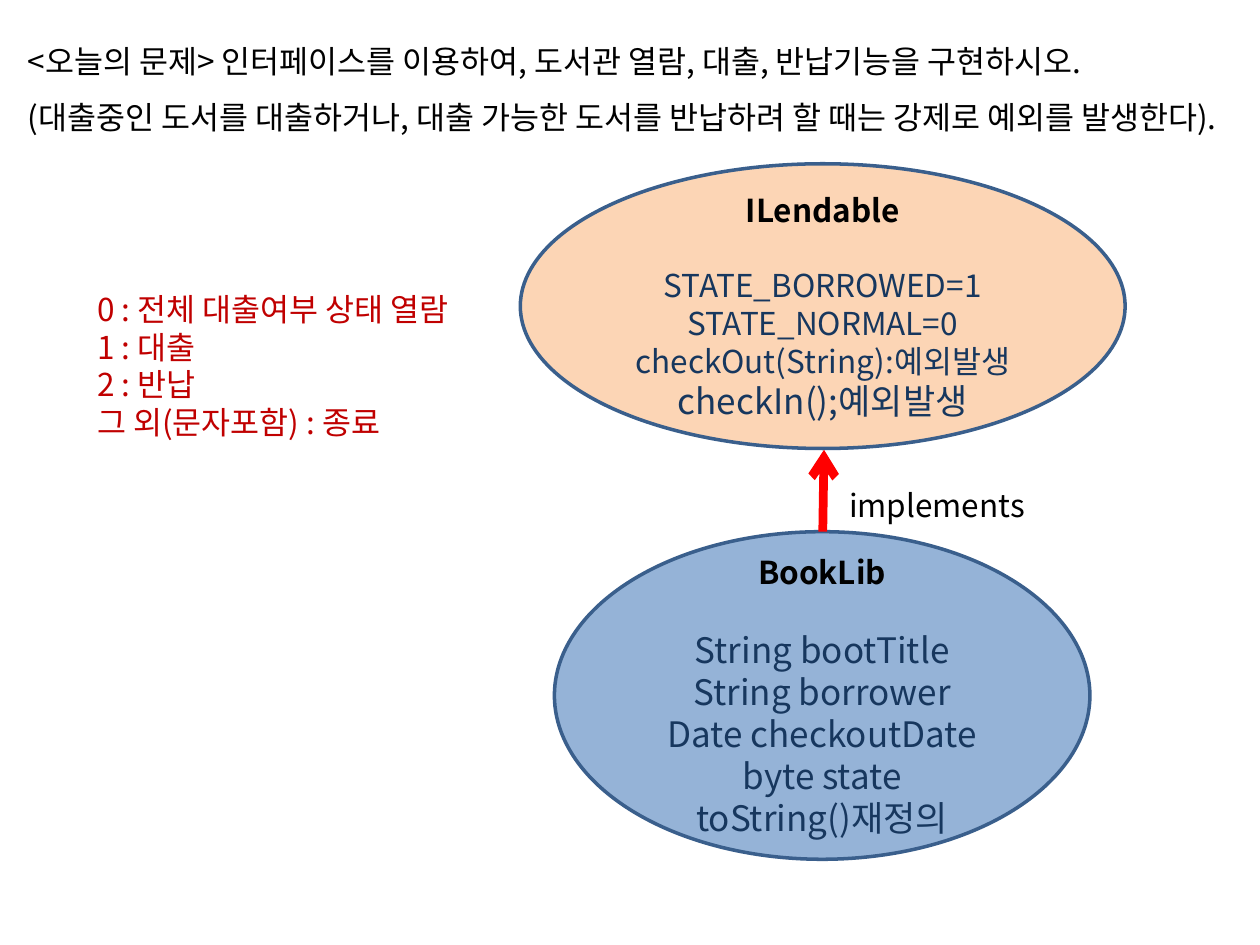
from lxml.etree import SubElement
from pptx import Presentation
from pptx.dml.color import RGBColor
from pptx.enum.shapes import MSO_CONNECTOR, MSO_SHAPE
from pptx.enum.text import MSO_ANCHOR, MSO_AUTO_SIZE, PP_ALIGN
from pptx.oxml.ns import qn
from pptx.util import Inches, Pt

COLORS = {
    "black": "000000", "menu": "C00000", "member": "17375E", "outline": "3A5F8C",
    "interface": "FCD5B5", "class": "95B3D7", "arrow": "FF0000",
}
FONT = "Noto Sans CJK KR"
LINE_RATIO = 1.2


class SlideBuilder:
    """Draws styled elements on the current slide."""

    def __init__(self, slide):
        self.slide = slide

    def color(self, name):
        return RGBColor.from_string(COLORS[name])

    def place(self, shape, box):
        for name, value in zip(("left", "top", "width", "height"), box):
            setattr(shape, name, Inches(value))

    def set_text(self, shape, lines, anchor=MSO_ANCHOR.TOP, align=PP_ALIGN.LEFT,
                 spacing=1, wrap=True):
        frame = shape.text_frame
        frame_format = {"word_wrap": wrap, "vertical_anchor": anchor,
                        "auto_size": MSO_AUTO_SIZE.NONE}
        for name, value in frame_format.items():
            setattr(frame, name, value)
        for index, (text, size, color, bold, gap) in enumerate(lines):
            paragraph = frame.paragraphs[0] if index == 0 else frame.add_paragraph()
            paragraph_format = {"alignment": align, "space_before": Pt(gap),
                                "line_spacing": Pt(size * LINE_RATIO * spacing)}
            for name, value in paragraph_format.items():
                setattr(paragraph, name, value)
            run = paragraph.add_run()
            run.text = text
            font_format = {"name": FONT, "size": Pt(size), "bold": bold}
            for name, value in font_format.items():
                setattr(run.font, name, value)
            run.font.color.rgb = self.color(color)
            properties = run._r.get_or_add_rPr()
            SubElement(properties, qn("a:ea")).set("typeface", FONT)

    def title(self, box, texts):
        shape = self.slide.shapes.title
        self.place(shape, box)
        self.set_text(shape, [(text, 18, "black", False, 0) for text in texts], spacing=1.5)

    def menu(self, box, texts):
        shape = self.slide.placeholders[1]
        self.place(shape, box)
        self.set_text(shape, [(text, 18, "menu", False, 0) for text in texts], wrap=False)
        for paragraph in shape.text_frame.paragraphs:
            properties = paragraph._p.get_or_add_pPr()
            properties.set("marL", "0")
            properties.set("indent", "0")
            SubElement(properties, qn("a:buNone"))

    def label(self, box, text):
        shape = self.slide.shapes.add_textbox(*map(Inches, box))
        self.set_text(shape, [(text, 18, "black", False, 0)])

    def type_ellipse(self, box, fill, name, members, side_margin=0.1):
        shape = self.slide.shapes.add_shape(MSO_SHAPE.OVAL, *map(Inches, box))
        shape.shadow.inherit = False
        shape.fill.solid()
        shape.fill.fore_color.rgb = self.color(fill)
        shape.line.color.rgb = self.color("outline")
        shape.line.width = Pt(2)
        shape.text_frame.margin_left = shape.text_frame.margin_right = Inches(side_margin)
        lines = [(name, 18, "black", True, 0)]
        for index, (text, size) in enumerate(members):
            gap = 18 * LINE_RATIO if index == 0 else 0
            lines.append((text, size, "member", False, gap))
        self.set_text(shape, lines, MSO_ANCHOR.MIDDLE, PP_ALIGN.CENTER)

    def arrow(self, start, end):
        connector = self.slide.shapes.add_connector(
            MSO_CONNECTOR.STRAIGHT, *map(Inches, (*start, *end)))
        connector.line.color.rgb = self.color("arrow")
        connector.line.width = Pt(5)
        properties = connector._element.spPr
        SubElement(properties.get_or_add_ln(), qn("a:tailEnd")).set("type", "arrow")
        SubElement(properties, qn("a:effectLst"))


def main():
    presentation = Presentation()
    presentation.slide_width, presentation.slide_height = Inches(10), Inches(7.5)
    builder = SlideBuilder(presentation.slides.add_slide(presentation.slide_layouts[1]))

    builder.title((0.12, 0.13, 9.76, 1.41), [
        "<오늘의 문제> 인터페이스를 이용하여, 도서관 열람, 대출, 반납기능을 구현하시오.",
        "(대출중인 도서를 대출하거나, 대출 가능한 도서를 반납하려 할 때는 강제로 예외를 발생한다).",
    ])
    builder.menu((0.67, 2.25, 3.37, 1.31), [
        "0 : 전체 대출여부 상태 열람", "1 : 대출", "2 : 반납", "그 외(문자포함) : 종료",
    ])
    builder.type_ellipse((4.13, 1.3, 4.8, 2.26), "interface", "ILendable", [
        ("STATE_BORROWED=1", 18), ("STATE_NORMAL=0", 18),
        ("checkOut(String):예외발생", 18), ("checkIn();예외발생", 20),
    ], side_margin=0)
    fields = ["String bootTitle", "String borrower", "Date checkoutDate",
              "byte state", "toString()재정의"]
    builder.type_ellipse((4.4, 4.22, 4.25, 2.6), "class", "BookLib",
                         [(field, 20) for field in fields])
    builder.arrow((6.53, 4.22), (6.54, 3.57))
    builder.label((6.64, 3.81, 1.81, 0.4), "implements")

    presentation.save("out.pptx")


if __name__ == "__main__":
    main()
